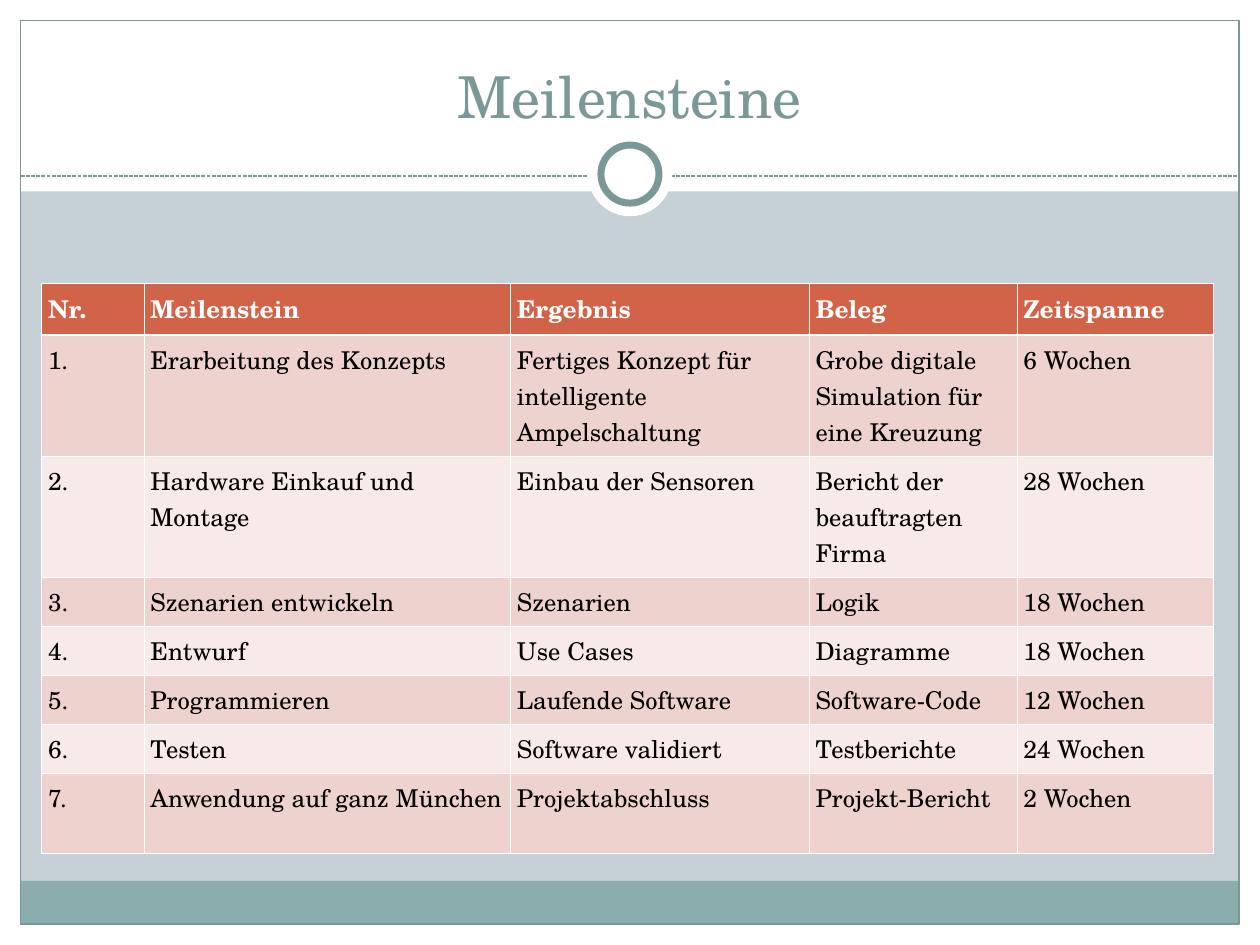
from lxml import etree
from pptx import Presentation
from pptx.dml.color import RGBColor
from pptx.enum import dml, shapes, text
from pptx.oxml import ns
from pptx.util import Cm, Pt

TITLE = "Meilensteine"
HEADER = ("Nr.", "Meilenstein", "Ergebnis", "Beleg", "Zeitspanne")
MILESTONES = [
    ("Erarbeitung des Konzepts", "Fertiges Konzept für intelligente Ampelschaltung",
     "Grobe digitale Simulation für eine Kreuzung", "6 Wochen"),
    ("Hardware Einkauf und Montage", "Einbau der Sensoren",
     "Bericht der beauftragten Firma", "28 Wochen"),
    ("Szenarien entwickeln", "Szenarien", "Logik", "18 Wochen"),
    ("Entwurf", "Use Cases", "Diagramme", "18 Wochen"),
    ("Programmieren", "Laufende Software", "Software-Code", "12 Wochen"),
    ("Testen", "Software validiert", "Testberichte", "24 Wochen"),
    ("Anwendung auf ganz München", "Projektabschluss", "Projekt-Bericht", "2 Wochen"),
]
COLUMN_WIDTHS = (2.06, 7.39, 6.02, 4.19, 3.96)
ROW_HEIGHTS = (0.94, 2.29, 2.29, 0.94, 0.94, 0.94, 0.94, 1.6)

FONT = "TeX Gyre Schola"
WHITE = RGBColor(0xFF, 0xFF, 0xFF)
BLACK = RGBColor(0x00, 0x00, 0x00)
BACKGROUND = RGBColor(0xC5, 0xD1, 0xD7)
TEAL = RGBColor(0x7B, 0x98, 0x99)
FOOTER_TEAL = RGBColor(0x8C, 0xAD, 0xAE)
HEADER_RED = RGBColor(0xD1, 0x63, 0x49)
BAND_FILLS = (RGBColor(0xEE, 0xD2, 0xCE), RGBColor(0xF7, 0xEA, 0xE8))

WIDTH, HEIGHT = 25.4, 19.05
MARGIN = 0.42
INNER_WIDTH = WIDTH - 2 * MARGIN
BAND_HEIGHT = 3.86
FOOTER_HEIGHT = 0.87
RULE_Y = 3.55
CIRCLE_Y = 3.51
INSET = Cm(0.13)
THIN, THICK = Pt(0.45), Pt(1.47)


def write(frame, content, size, color, bold=False, align=text.PP_ALIGN.LEFT):
    para = frame.paragraphs[0]
    para.alignment = align
    span = para.add_run()
    span.text = content
    span.font.name = FONT
    span.font.size = Pt(size)
    span.font.bold = bold
    span.font.color.rgb = color


def add_box(page, kind, left, top, width, height, fill=None, line=None, weight=0.75):
    box = page.shapes.add_shape(kind, Cm(left), Cm(top), Cm(width), Cm(height))
    box.shadow.inherit = False
    if fill is None:
        box.fill.background()
    else:
        box.fill.solid()
        box.fill.fore_color.rgb = fill
    if line is None:
        box.line.fill.background()
    else:
        box.line.color.rgb = line
        box.line.width = Pt(weight)


def add_circle(page, diameter, **style):
    add_box(page, shapes.MSO_SHAPE.OVAL, (WIDTH - diameter) / 2,
            CIRCLE_Y - diameter / 2, diameter, diameter, **style)


def add_frame(page):
    """Draw the white margins, footer bar, outline, dashed rule and ring."""
    rectangle = shapes.MSO_SHAPE.RECTANGLE
    for area in (
        (0, HEIGHT - MARGIN, WIDTH, MARGIN),
        (0, 0, WIDTH, BAND_HEIGHT),
        (0, 0, MARGIN, HEIGHT),
        (WIDTH - MARGIN, 0, MARGIN, HEIGHT),
    ):
        add_box(page, rectangle, *area, fill=WHITE)
    add_box(page, rectangle, MARGIN, HEIGHT - MARGIN - FOOTER_HEIGHT,
            INNER_WIDTH, FOOTER_HEIGHT, fill=FOOTER_TEAL)
    add_box(page, rectangle, MARGIN, MARGIN, INNER_WIDTH, HEIGHT - 2 * MARGIN, line=TEAL)

    rule = page.shapes.add_connector(
        shapes.MSO_CONNECTOR.STRAIGHT,
        Cm(MARGIN), Cm(RULE_Y), Cm(WIDTH - MARGIN), Cm(RULE_Y))
    rule.line.color.rgb = TEAL
    rule.line.width = Pt(0.75)
    rule.line.dash_style = dml.MSO_LINE.SQUARE_DOT
    etree.SubElement(rule.element.spPr, ns.qn("a:effectLst"))

    add_circle(page, 1.7, fill=WHITE)
    add_circle(page, 1.17, fill=WHITE, line=TEAL, weight=4)


def add_title(page):
    title = page.shapes.title
    title.left, title.top, title.width, title.height = Cm(0.84), Cm(0.64), Cm(23.7), Cm(2.11)
    frame = title.text_frame
    frame.margin_left = frame.margin_right = INSET
    frame.margin_top = frame.margin_bottom = INSET
    frame.vertical_anchor = text.MSO_ANCHOR.BOTTOM
    frame.auto_size = text.MSO_AUTO_SIZE.NONE
    write(frame, TITLE, 33, TEAL, align=text.PP_ALIGN.CENTER)
    # The title comes first in the shape tree; lift it above the white band.
    title.element.getparent().append(title.element)


def set_borders(cell, top, bottom):
    properties = cell._tc.get_or_add_tcPr()
    sides = (("L", THIN), ("R", THIN), ("T", top), ("B", bottom))
    for position, (side, width) in enumerate(sides):
        border = etree.Element(ns.qn(f"a:ln{side}"), w=str(int(width)))
        fill = etree.SubElement(border, ns.qn("a:solidFill"))
        etree.SubElement(fill, ns.qn("a:srgbClr"), val=str(WHITE))
        properties.insert(position, border)


def add_milestones(page):
    rows = [HEADER] + [(f"{n}.", *row) for n, row in enumerate(MILESTONES, 1)]
    table = page.shapes.add_table(
        len(rows), len(HEADER), Cm(0.84), Cm(5.72),
        Cm(sum(COLUMN_WIDTHS)), Cm(sum(ROW_HEIGHTS))).table
    table.horz_banding = False
    for column, width in zip(table.columns, COLUMN_WIDTHS):
        column.width = Cm(width)
    for r, (row, height) in enumerate(zip(rows, ROW_HEIGHTS)):
        table.rows[r].height = Cm(height)
        is_header = r == 0
        for c, content in enumerate(row):
            cell = table.cell(r, c)
            cell.margin_left = cell.margin_right = INSET
            cell.margin_top = cell.margin_bottom = INSET
            cell.fill.solid()
            cell.fill.fore_color.rgb = HEADER_RED if is_header else BAND_FILLS[(r - 1) % 2]
            set_borders(cell, THICK if r == 1 else THIN, THICK if is_header else THIN)
            write(cell.text_frame, content, 14, WHITE if is_header else BLACK, bold=is_header)


def main():
    deck = Presentation()
    deck.slide_width, deck.slide_height = Cm(WIDTH), Cm(HEIGHT)
    page = deck.slides.add_slide(deck.slide_layouts.get_by_name("Title Only"))
    page.background.fill.solid()
    page.background.fill.fore_color.rgb = BACKGROUND
    add_frame(page)
    add_title(page)
    add_milestones(page)
    deck.save("out.pptx")


if __name__ == "__main__":
    main()
